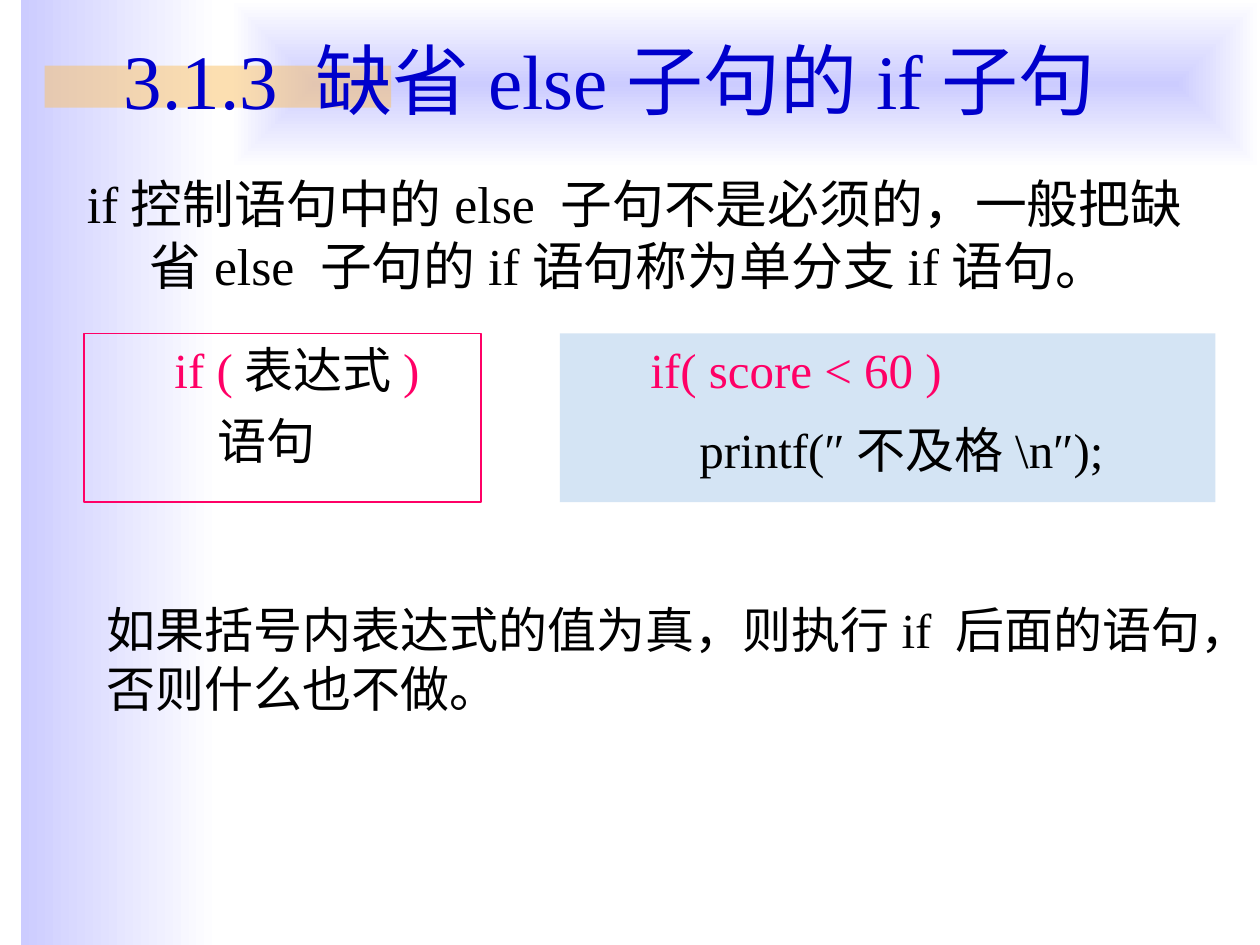
from dataclasses import dataclass

from lxml import etree
from pptx import Presentation
from pptx.dml.color import RGBColor
from pptx.enum.shapes import MSO_SHAPE
from pptx.enum.text import MSO_ANCHOR, PP_ALIGN
from pptx.oxml.ns import qn
from pptx.util import Pt

RECT = MSO_SHAPE.RECTANGLE
TOP, MID = MSO_ANCHOR.TOP, MSO_ANCHOR.MIDDLE
LEFT, CENTER = PP_ALIGN.LEFT, PP_ALIGN.CENTER


@dataclass(frozen=True)
class Theme:
    font: str = "Times New Roman"
    head: float = 44
    lead: float = 29.6
    body: float = 28
    ink: str = "000000"
    blue: str = "0000CC"
    pink: str = "FF0066"
    pale: str = "D4E4F4"
    lilac: str = "CCCCFF"
    white: str = "FFFFFF"
    gold: str = "FAC164"


THEME = Theme()


def rgb(code):
    return RGBColor.from_string(code)


def add_rect(slide, area, fill=None, line=None):
    """Add a flat rectangle with an optional fill and outline."""
    box = slide.shapes.add_shape(RECT, *map(Pt, area))
    box.shadow.inherit = False
    if fill:
        box.fill.solid()
        box.fill.fore_color.rgb = rgb(fill)
    else:
        box.fill.background()
    if line:
        box.line.color.rgb = rgb(line)
        box.line.width = Pt(0.75)
    else:
        box.line.fill.background()
    return box


def add_fade(slide, area, inner=False):
    """Add a lilac to white fade, rightwards or from the centre out."""
    box = add_rect(slide, area)
    box.fill.gradient()
    box.fill.gradient_angle = 0
    for stop, code in zip(box.fill.gradient_stops, (THEME.lilac, THEME.white)):
        stop.color.rgb = rgb(code)
    if inner:
        grad = box.element.spPr.find(qn("a:gradFill"))
        grad.remove(grad.find(qn("a:lin")))
        route = etree.SubElement(grad, qn("a:path"), path="rect")
        sides = dict.fromkeys("ltrb", "50000")
        etree.SubElement(route, qn("a:fillToRect"), sides)


def add_bar(slide, area):
    """Add the half-transparent gold bar."""
    bar = add_rect(slide, area, THEME.gold)
    color = bar.element.spPr.find(qn("a:solidFill"))[0]
    etree.SubElement(color, qn("a:alpha"), val="50000")


def add_box(slide, area):
    return slide.shapes.add_textbox(*map(Pt, area))


def set_frame(box, anchor=TOP):
    frame = box.text_frame
    frame.word_wrap = True
    frame.vertical_anchor = anchor
    return frame


def add_runs(para, runs, size, align=LEFT, margin=0, indent=0, gap=0):
    """Fill a paragraph with (text, colour) runs."""
    para.alignment = align
    para.space_before = Pt(gap)
    props = para._p.get_or_add_pPr()
    props.set("marL", str(Pt(margin)))
    props.set("indent", str(Pt(indent)))
    for text, color in runs:
        run = para.add_run()
        run.text = text
        run.font.name = THEME.font
        run.font.size = Pt(size)
        run.font.color.rgb = rgb(color)


def add_code(box, first, second, shift, gap):
    """Write an if line and its indented statement."""
    frame = set_frame(box)
    margin, hang = 80.64, -36
    add_runs(frame.paragraphs[0], first, THEME.body,
             margin=margin, indent=hang)
    add_runs(frame.add_paragraph(), second, THEME.body,
             margin=margin, indent=hang + shift, gap=gap)


def main():
    deck = Presentation()
    deck.slide_width, deck.slide_height = Pt(720), Pt(540)
    slide = deck.slides.add_slide(deck.slide_layouts[6])
    ink, pink = THEME.ink, THEME.pink

    # Backdrop
    add_fade(slide, (12, 0, 114, 540))
    add_fade(slide, (132, 0, 588, 96), inner=True)
    add_bar(slide, (25.5, 37.5, 198, 24))

    # Title
    title = set_frame(add_box(slide, (42.5, 0, 612, 90)), MID)
    add_runs(title.paragraphs[0], [("3.1.3 缺省else子句的if子句", THEME.blue)],
             THEME.head, CENTER)

    # Lead text
    lead = set_frame(add_box(slide, (42.5, 94.5, 646.5, 108)))
    add_runs(lead.paragraphs[0],
             [("if控制语句中的else 子句不是必须的，一般把缺省else "
               "子句的if语句称为单分支if语句。", ink)],
             THEME.lead, margin=36, indent=-36)

    # Syntax and example
    top, high = 190.5, 96.5
    form = add_rect(slide, (48, top, 227, high), line=pink)
    add_code(form, [("if (", pink), ("表达式", ink), (")", pink)],
             [("语句", ink)], shift=24.5, gap=7)
    sample = add_rect(slide, (320, top, 374.5, high), THEME.pale)
    add_code(sample, [("if( score < 60 )", pink)],
             [("printf(″不及格\\n″);", ink)], shift=28, gap=12)

    # Closing note
    note = set_frame(add_box(slide, (54, 339, 641, 75)), MID)
    add_runs(note.paragraphs[0],
             [("如果括号内表达式的值为真，则执行if 后面的语句，否则什么也不做。", ink)],
             THEME.body)

    deck.save("out.pptx")


if __name__ == "__main__":
    main()
